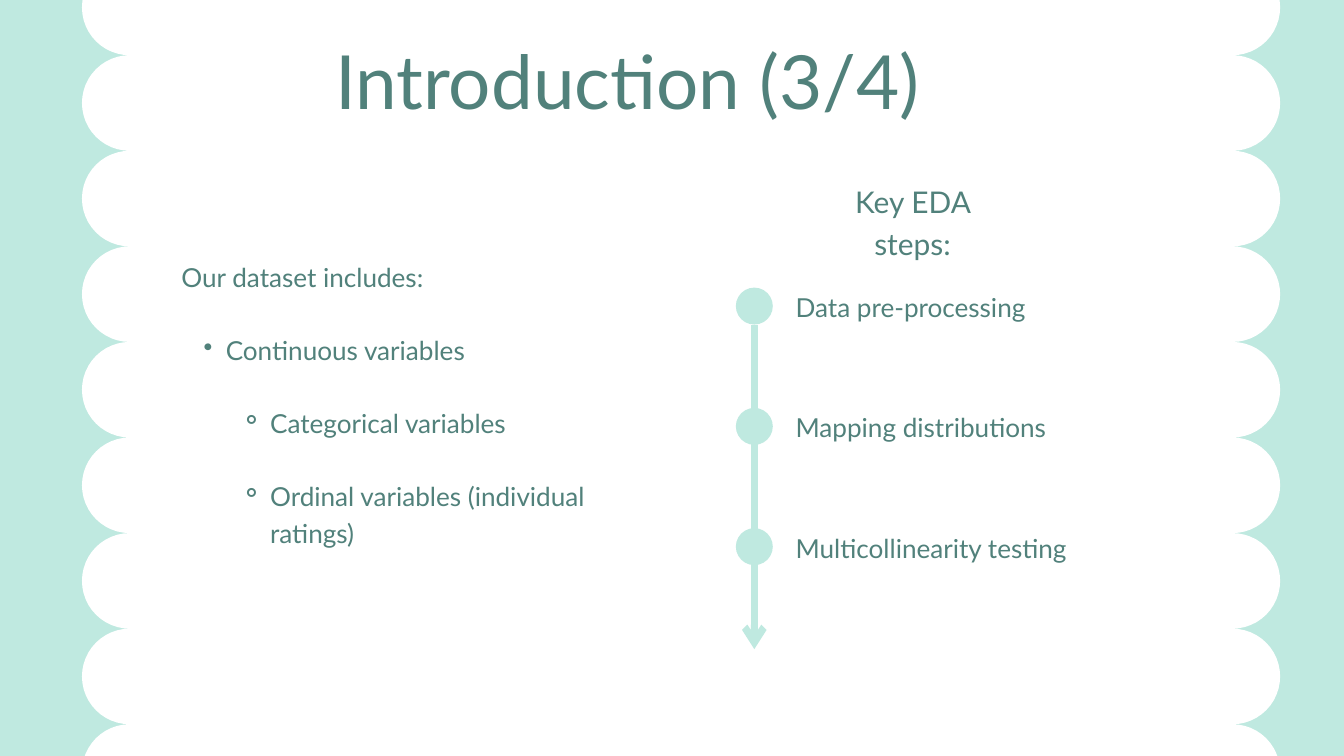
from dataclasses import dataclass
from math import cos, pi, sin

from lxml.etree import SubElement
from pptx import Presentation
from pptx.dml.color import RGBColor
from pptx.enum.shapes import MSO_CONNECTOR, MSO_SHAPE
from pptx.enum.text import PP_ALIGN
from pptx.oxml.ns import qn
from pptx.util import Inches, Pt

CELL = 0.25  # inches; the slide is a grid of 80 columns by 45 rows
COLUMNS, ROWS = 80, 45


@dataclass(frozen=True)
class Theme:
    font: str = "Lato"
    mint: RGBColor = RGBColor(0xBF, 0xE9, 0xE0)
    teal: RGBColor = RGBColor(0x51, 0x81, 0x7B)
    white: RGBColor = RGBColor(0xFF, 0xFF, 0xFF)
    title: float = 80
    heading: float = 32
    body: float = 28
    leading: float = 1.4
    arrow: float = 7.5


THEME = Theme()


@dataclass(frozen=True)
class Box:
    """An area in columns and rows of the grid."""
    left: float
    top: float
    width: float
    height: float

    def inner(self, left, top, width, height):
        return Box(self.left + left, self.top + top, width, height)

    def lengths(self):
        return [grid(n) for n in (self.left, self.top, self.width, self.height)]


def grid(cells):
    return Inches(cells * CELL)


def paint(shape, color):
    shape.shadow.inherit = False
    shape.fill.solid()
    shape.fill.fore_color.rgb = color
    shape.line.fill.background()


def set_bullet(para, mark, margin, hanging):
    properties = para._p.get_or_add_pPr()
    properties.set("marL", str(grid(margin)))
    properties.set("indent", str(-grid(hanging)))
    SubElement(properties, qn("a:buChar")).set("char", mark)


def add_text(page, box, lines, size, align=PP_ALIGN.LEFT, leading=THEME.leading, gap=0):
    """Write (text, level) lines; gap is the space between them in points."""
    bullets = {1: ("•", 2.64, 1.32), 2: ("⚬", 5.28, 1.76)}
    frame = page.shapes.add_textbox(*box.lengths()).text_frame
    frame.word_wrap = True
    frame.margin_left = frame.margin_right = frame.margin_top = frame.margin_bottom = 0
    for index, (text, level) in enumerate(lines):
        para = frame.add_paragraph() if index else frame.paragraphs[0]
        para.alignment = align
        para.level = level
        para.line_spacing = Pt(size * leading)
        para.space_before = Pt(gap if index else 0)
        if level:
            set_bullet(para, *bullets[level])
        span = para.add_run()
        span.text = text
        span.font.name = THEME.font
        span.font.size = Pt(size)
        span.font.color.rgb = THEME.teal


def add_scalloped_panel(page, box, lobes, depth, steps=24):
    """White panel whose two sides are rows of half-round lobes."""
    pitch = box.height / lobes
    side = [
        (depth * sin(pi * step / steps),
         box.top + pitch * (lobe + (1 - cos(pi * step / steps)) / 2))
        for lobe in range(lobes) for step in range(steps + 1)
    ]
    right_edge = box.left + box.width - depth
    left_edge = box.left + depth
    points = [(right_edge + bulge, y) for bulge, y in side]
    points += [(left_edge - bulge, y) for bulge, y in reversed(side)]
    outline = [(grid(x), grid(y)) for x, y in points]
    builder = page.shapes.build_freeform(*outline[0])
    builder.add_line_segments(outline[1:], close=True)
    paint(builder.convert_to_shape(), THEME.white)


def add_title(page, box):
    add_text(page, box, [("Introduction (3/4)", 0)], THEME.title, align=PP_ALIGN.CENTER)


def add_dataset_list(page, box):
    lines = [
        ("Our dataset includes:", 0),
        ("Continuous variables", 1),
        ("Categorical variables", 2),
        ("Ordinal variables (individual ratings)", 2),
    ]
    add_text(page, box, lines, THEME.body, gap=THEME.body * THEME.leading)


def add_arrow(page, x, top, bottom):
    arrow = page.shapes.add_connector(
        MSO_CONNECTOR.STRAIGHT, grid(x), grid(top), grid(x), grid(bottom))
    arrow.line.color.rgb = THEME.mint
    arrow.line.width = Pt(THEME.arrow)
    SubElement(arrow.line._get_or_add_ln(), qn("a:tailEnd")).set("type", "arrow")
    SubElement(arrow._element.spPr, qn("a:effectLst"))


def add_timeline(page, box):
    """Heading above a downward arrow with one dot and label per step."""
    dot, first, pitch = 2.2, 6.56, 7.16
    add_text(page, box.inner(4.68, 0, 11.68, 2.36), [("Key EDA steps:", 0)],
             THEME.heading, align=PP_ALIGN.CENTER)
    steps = ["Data pre-processing", "Mapping distributions", "Multicollinearity testing"]
    for index, step in enumerate(steps):
        top = first + index * pitch
        marker = page.shapes.add_shape(
            MSO_SHAPE.OVAL, *box.inner(0, top, dot, dot).lengths())
        paint(marker, THEME.mint)
        label = box.inner(3.56, top - 0.08, box.width - 3.56, 2.12)
        add_text(page, label, [(step, 0)], THEME.body)
    add_arrow(page, box.left + dot / 2, box.top + first + dot, box.top + box.height)


def main():
    deck = Presentation()
    deck.slide_width, deck.slide_height = grid(COLUMNS), grid(ROWS)
    page = deck.slides.add_slide(deck.slide_layouts[6])
    page.background.fill.solid()
    page.background.fill.fore_color.rgb = THEME.mint
    add_scalloped_panel(page, Box(4.88, -2.4, 71.32, 51.2), lobes=9, depth=2.84)
    add_title(page, Box(14.04, 1.16, 46.64, 6))
    add_dataset_list(page, Box(10.8, 15.24, 27.56, 17.28))
    add_timeline(page, Box(43.8, 10.56, 22.32, 28.08))
    deck.save("out.pptx")


if __name__ == "__main__":
    main()
